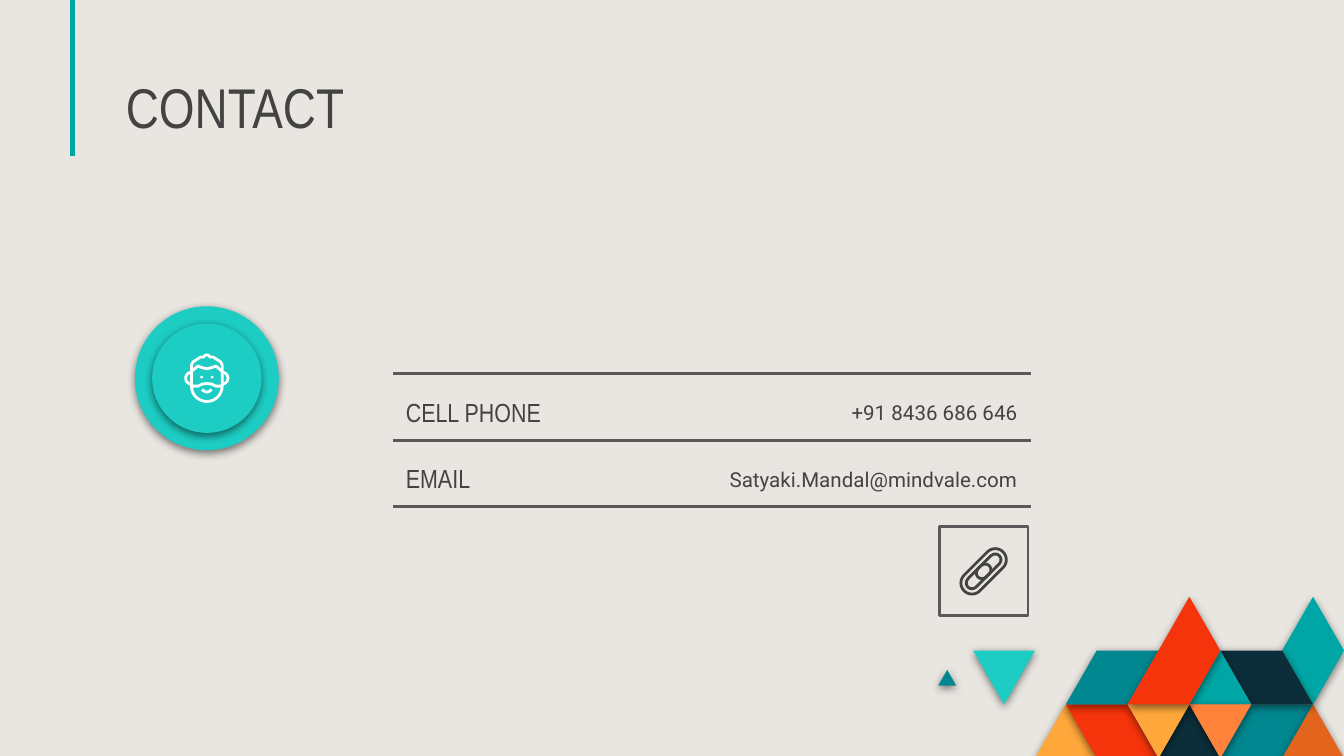
from math import cos, hypot, radians, sin

from lxml.etree import SubElement
from pptx import Presentation
from pptx.dml.color import RGBColor
from pptx.enum.shapes import MSO_CONNECTOR as Line, MSO_SHAPE as Shape
from pptx.enum.text import MSO_ANCHOR as Anchor, PP_ALIGN as Align
from pptx.oxml.ns import qn
from pptx.util import Cm, Pt

COLORS = {
    "paper": "E9E6E1", "text": "434343", "rule": "595959", "white": "FFFFFF",
    "aqua": "1DCDC3", "teal": "00A6A6", "sea": "018790", "navy": "0C2E3A",
    "red": "F5340B", "amber": "FFA73B", "orange": "FF823B", "rust": "E3651D",
}
HEAD_FONT, BODY_FONT = "Arial Narrow", "Roboto"

# Colour and corners as (column, row) of the triangle grid, back to front
TILES = [
    ("amber", [(0, 3), (1, 2), (2, 3)]),
    ("red", [(1, 2), (3, 2), (4, 3), (2, 3)]),
    ("sea", [(6, 3), (7, 2), (9, 2), (8, 3)]),
    ("rust", [(8, 3), (9, 2), (10, 3)]),
    ("navy", [(4, 3), (5, 2), (6, 3)]),
    ("sea", [(1, 2), (2, 1), (4, 1), (3, 2)]),
    ("sea", [(-3.13, 1.65), (-2.84, 1.36), (-2.55, 1.65)]),
    ("aqua", [(-2, 1), (0, 1), (-1, 2)]),
    ("teal", [(8, 1), (9, 0), (10, 1), (9, 2)]),
    ("navy", [(6, 1), (8, 1), (9, 2), (7, 2)]),
    ("teal", [(5, 2), (6, 1), (7, 2)]),
    ("orange", [(5, 2), (7, 2), (6, 3)]),
    ("amber", [(3, 2), (5, 2), (4, 3)]),
    ("red", [(3, 2), (5, 0 - 0), (6, 1), (5, 2)]),
]


def rgb(name):
    return RGBColor.from_string(COLORS[name])


def style(shape, fill=None, line=None, width=1.5):
    shape.shadow.inherit = False
    if fill:
        shape.fill.solid()
        shape.fill.fore_color.rgb = rgb(fill)
    else:
        shape.fill.background()
    if line:
        shape.line.color.rgb = rgb(line)
        shape.line.width = Pt(width)
    else:
        shape.line.fill.background()
    return shape


def drop_shadow(shape):
    effects = shape.element.spPr.find(qn("a:effectLst"))
    shadow = SubElement(effects, qn("a:outerShdw"), blurRad=str(Pt(4.5)),
                        dist=str(Pt(1.5)), dir="5400000", algn="bl", rotWithShape="0")
    color = SubElement(shadow, qn("a:srgbClr"), val="000000")
    SubElement(color, qn("a:alpha"), val="50000")


def add_outline(page, points, close=True):
    corners = [(Cm(x), Cm(y)) for x, y in points]
    builder = page.shapes.build_freeform(*corners[0])
    builder.add_line_segments(corners[1:], close=close)
    return builder.convert_to_shape()


def add_circle(page, x, y, diameter, fill):
    """Add a filled circle centred on x, y."""
    circle = page.shapes.add_shape(Shape.OVAL, Cm(x - diameter / 2), Cm(y - diameter / 2),
                                   Cm(diameter), Cm(diameter))
    return style(circle, fill)


def add_rule(page, x1, y1, x2, y2, color, width):
    rule = page.shapes.add_connector(Line.STRAIGHT, Cm(x1), Cm(y1), Cm(x2), Cm(y2))
    rule.line.color.rgb = rgb(color)
    rule.line.width = Pt(width)
    SubElement(rule.element.spPr, qn("a:effectLst"))


def add_text(page, box, text, size, font, anchor=Anchor.BOTTOM, align=Align.LEFT):
    frame = page.shapes.add_textbox(*map(Cm, box)).text_frame
    frame.word_wrap = True
    frame.vertical_anchor = anchor
    frame.margin_left = frame.margin_right = Cm(0.25)
    frame.margin_top = frame.margin_bottom = Cm(0.25)
    para = frame.paragraphs[0]
    para.alignment = align
    span = para.add_run()
    span.text = text
    span.font.size = Pt(size)
    span.font.name = font
    span.font.color.rgb = rgb("text")


def add_mosaic(page, box):
    """Fill a box of 10 columns by 3 rows with the coloured tiles."""
    left, top, width, height = box
    for color, corners in TILES:
        points = [(left + col * width / 10, top + row * height / 3) for col, row in corners]
        drop_shadow(style(add_outline(page, points), color))


def arc(x, y, radius, start, end):
    angles = [radians(start + (end - start) * i / 16) for i in range(17)]
    return [(x + radius * cos(a), y + radius * sin(a)) for a in angles]


def add_avatar(page, box):
    """Draw a plain bearded head on two stacked discs."""
    left, top, size, _ = box
    x, y = left + size / 2, top + size / 2
    for diameter in (size, size * 0.76):
        drop_shadow(add_circle(page, x, y, diameter, "aqua"))
    hair = [(-0.29, -0.25), (-0.26, -0.31), (-0.18, -0.36), (-0.12, -0.4), (-0.06, -0.4)]
    curl = arc(0, -0.38, 0.06, 200, 340)
    strokes = [
        arc(0, 0.15, 0.29, 0, 180) + hair + curl + [(-dx, dy) for dx, dy in hair[::-1]]
        + [(0.29, 0.15)],
        [(-0.29, -0.13), (-0.17, -0.23), (-0.09, -0.2), (0, -0.18), (0.09, -0.2),
         (0.17, -0.23), (0.29, -0.13)],
        [(-0.29, 0.15), (-0.17, 0.15), (-0.09, 0.11), (0, 0.1), (0.09, 0.11),
         (0.17, 0.15), (0.29, 0.15)],
        arc(0, 0.16, 0.1, 30, 150),
        arc(-0.29, 0, 0.11, 90, 270),
        arc(0.29, 0, 0.11, -90, 90),
    ]
    for stroke in strokes:
        points = [(x + dx, y + dy) for dx, dy in stroke]
        style(add_outline(page, points, close=False), line="white")
    for dx in (-0.1, 0.1):
        add_circle(page, x + dx, y - 0.02, 0.05, "white")


def add_capsule(page, start, end, radius):
    """Outline a slanted capsule around the line from start to end."""
    length = hypot(end[0] - start[0], end[1] - start[1]) + 2 * radius
    x, y = (start[0] + end[0]) / 2, (start[1] + end[1]) / 2
    capsule = page.shapes.add_shape(Shape.ROUNDED_RECTANGLE, Cm(x - length / 2),
                                    Cm(y - radius), Cm(length), Cm(2 * radius))
    capsule.adjustments[0] = 0.5
    capsule.rotation = -45
    style(capsule, line="text")


def add_link_button(page, box):
    left, top, width, height = box
    style(page.shapes.add_shape(Shape.RECTANGLE, *map(Cm, box)), line="rule")
    x, y = left + width / 2, top + height / 2
    for near, far, radius in [(-0.22, 0.22, 0.21), (-0.22, 0.03, 0.11), (-0.03, 0.22, 0.11)]:
        add_capsule(page, (x + near, y - near), (x + far, y - far), radius)


def add_contacts(page, box, rows):
    left, top, width, height = box
    step = height / len(rows)
    for i in range(len(rows) + 1):
        add_rule(page, left, top + i * step, left + width, top + i * step, "rule", 1.5)
    for i, (label, value) in enumerate(rows):
        y = top + 0.18 + i * step
        add_text(page, (left, y, 5.46, 1.02), label, 14, HEAD_FONT, Anchor.TOP)
        add_text(page, (left + width - 6.5, y, 6.5, 1.02), value, 11, BODY_FONT,
                 align=Align.RIGHT)


def add_heading(page, box, text):
    add_rule(page, 1.37, 0, 1.37, 2.95, "teal", 2.25)
    add_text(page, box, text, 30, HEAD_FONT)


def main():
    deck = Presentation()
    deck.slide_width, deck.slide_height = Cm(25.4), Cm(14.29)
    page = deck.slides.add_slide(deck.slide_layouts[6])
    page.background.fill.solid()
    page.background.fill.fore_color.rgb = rgb("paper")
    add_mosaic(page, (19.56, 11.28, 5.84, 3.05))
    add_heading(page, (2.13, 1.3, 22.48, 1.6), "CONTACT")
    add_avatar(page, (2.55, 5.79, 2.72, 2.72))
    add_contacts(page, (7.42, 7.06, 12.06, 2.52), [
        ("CELL PHONE", "+91 8436 686 646"),
        ("EMAIL", "Satyaki.Mandal@mindvale.com"),
    ])
    add_link_button(page, (17.75, 9.96, 1.68, 1.68))
    deck.save("out.pptx")


if __name__ == "__main__":
    main()
